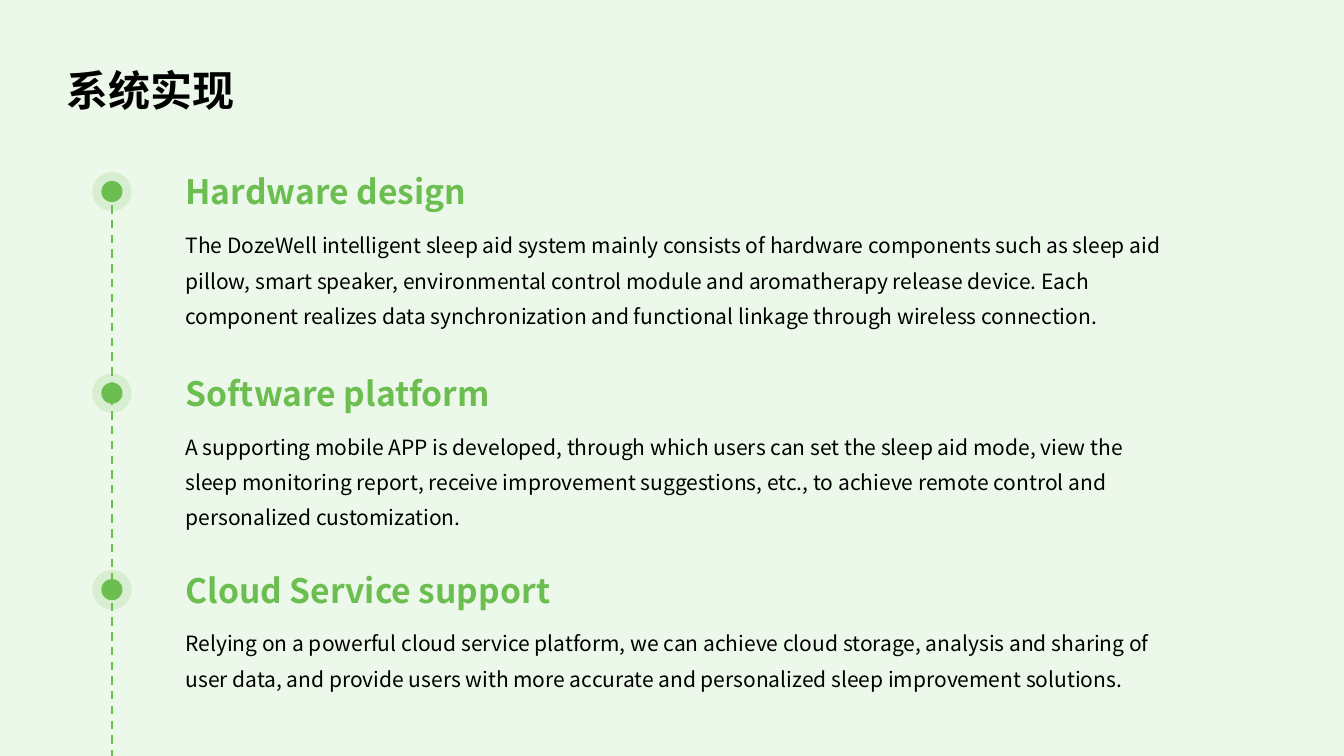
import pptx
import pptx.util
from dataclasses import dataclass
from lxml import etree
from pptx.dml.color import RGBColor
from pptx.enum.dml import MSO_LINE
from pptx.enum.shapes import MSO_CONNECTOR, MSO_SHAPE
from pptx.enum.text import MSO_ANCHOR, PP_ALIGN
from pptx.oxml.ns import qn
from pptx.util import Inches


@dataclass
class Theme:
    back: RGBColor = RGBColor(0xEC, 0xF8, 0xEA)
    green: RGBColor = RGBColor(0x6C, 0xBE, 0x50)
    black: RGBColor = RGBColor(0, 0, 0)
    font: str = "Noto Sans CJK SC"
    title: int = 30
    head: int = 24
    body: int = 15


theme = Theme()


def write(shape, text, size, color, bold=False, space=1.4,
          anchor=MSO_ANCHOR.TOP, inset=(0, 0, 0, 0)):
    frame = shape.text_frame
    frame.word_wrap = True
    frame.vertical_anchor = anchor
    (frame.margin_left, frame.margin_top,
     frame.margin_right, frame.margin_bottom) = map(Inches, inset)
    para = frame.paragraphs[0]
    para.alignment = PP_ALIGN.LEFT
    para.line_spacing = space
    run = para.add_run()
    run.text = text
    run.font.size = pptx.util.Pt(size)
    run.font.bold = bold
    run.font.color.rgb = color
    run.font.name = theme.font
    east = etree.SubElement(run.font._element, qn("a:ea"))
    east.set("typeface", theme.font)


def dot(group, x, y, size, alpha=None):
    """Add a green circle centred on x, y; alpha is its opacity in percent."""
    disc = group.shapes.add_shape(
        MSO_SHAPE.OVAL, Inches(x - size / 2), Inches(y - size / 2),
        Inches(size), Inches(size))
    disc.shadow.inherit = False
    disc.fill.solid()
    disc.fill.fore_color.rgb = theme.green
    disc.line.fill.background()
    if alpha:
        tint = disc._element.spPr.find(".//" + qn("a:srgbClr"))
        etree.SubElement(tint, qn("a:alpha")).set("val", str(alpha * 1000))


deck = pptx.Presentation()
deck.slide_width = Inches(13.33)
deck.slide_height = Inches(7.5)
slide = deck.slides.add_slide(deck.slide_layouts[5])
slide.background.fill.solid()
slide.background.fill.fore_color.rgb = theme.back

title = slide.shapes.title
title.left, title.top = Inches(0.52), Inches(0.29)
title.width, title.height = Inches(12.29), Inches(1)
write(title, "系统实现", theme.title, theme.black, bold=True,
      anchor=MSO_ANCHOR.MIDDLE, inset=(0.14, 0.14, 0.06, 0.14))

axis = 1.11
left = 1.84
steps = [
    (1.49, "Hardware design",
     "The DozeWell intelligent sleep aid system mainly consists of hardware "
     "components such as sleep aid pillow, smart speaker, environmental "
     "control module and aromatherapy release device. Each component realizes "
     "data synchronization and functional linkage through wireless connection."),
    (3.49, "Software platform",
     "A supporting mobile APP is developed, through which users can set the "
     "sleep aid mode, view the sleep monitoring report, receive improvement "
     "suggestions, etc., to achieve remote control and personalized "
     "customization."),
    (5.44, "Cloud Service support",
     "Relying on a powerful cloud service platform, we can achieve cloud "
     "storage, analysis and sharing of user data, and provide users with more "
     "accurate and personalized sleep improvement solutions."),
]
for top, head, body in steps:
    box = slide.shapes.add_textbox(
        Inches(left), Inches(top), Inches(9.78), Inches(0.61))
    write(box, head, theme.head, theme.green, bold=True, space=1.2,
          anchor=MSO_ANCHOR.BOTTOM)
    box = slide.shapes.add_textbox(
        Inches(left), Inches(top + 0.72), Inches(9.81), Inches(0.84))
    write(box, body, theme.body, theme.black)
    mark = slide.shapes.add_group_shape()
    dot(mark, axis, top + 0.41, 0.21)
    dot(mark, axis, top + 0.41, 0.39, alpha=16)

line = slide.shapes.add_connector(
    MSO_CONNECTOR.STRAIGHT, Inches(axis), Inches(1.89),
    Inches(axis), Inches(7.59))
line.line.color.rgb = theme.green
line.line.width = pptx.util.Pt(1.5)
line.line.dash_style = MSO_LINE.DASH
props = line._element.spPr
etree.SubElement(props.find(qn("a:ln")), qn("a:tailEnd")).set("type", "triangle")
etree.SubElement(props, qn("a:effectLst"))

deck.save("out.pptx")
